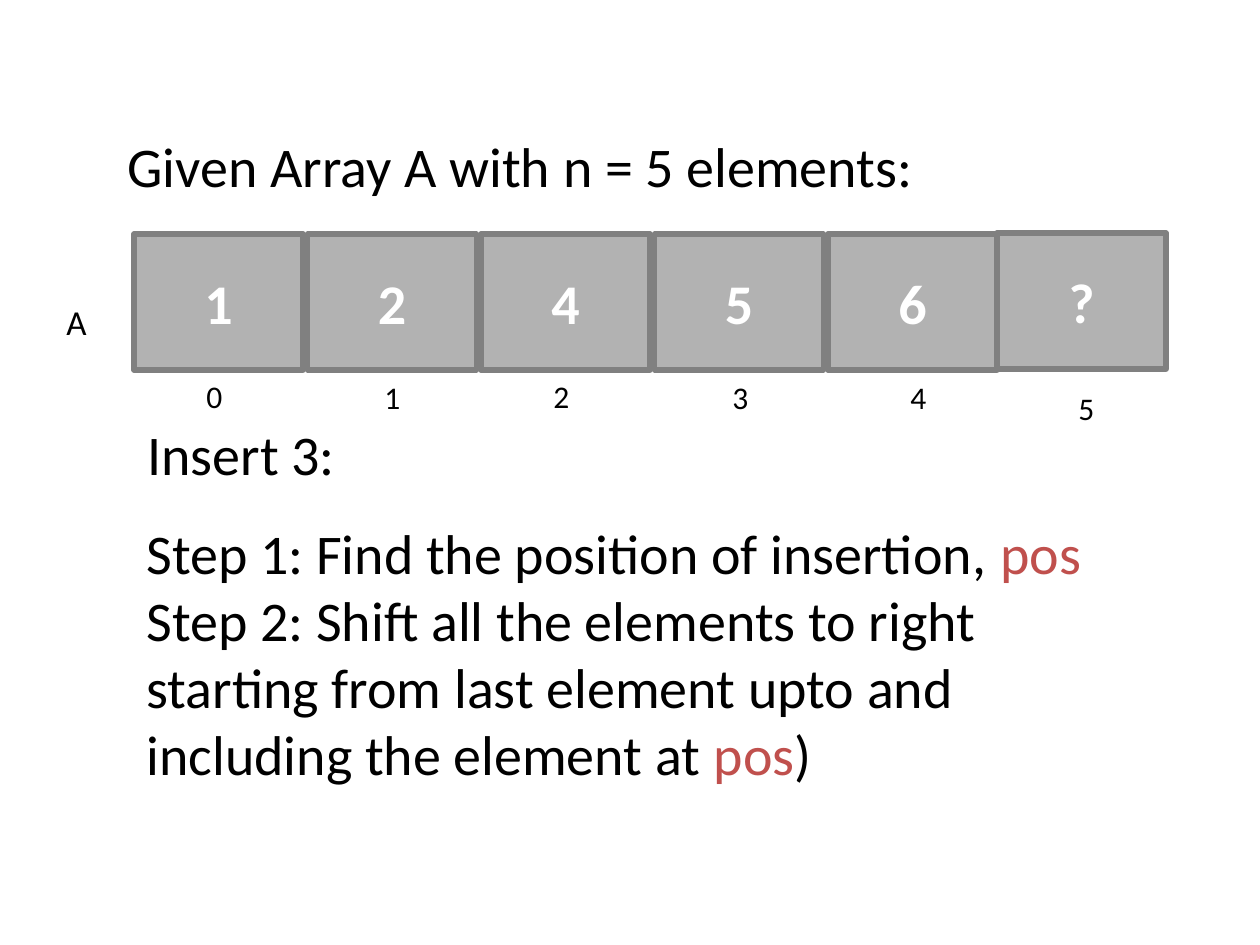
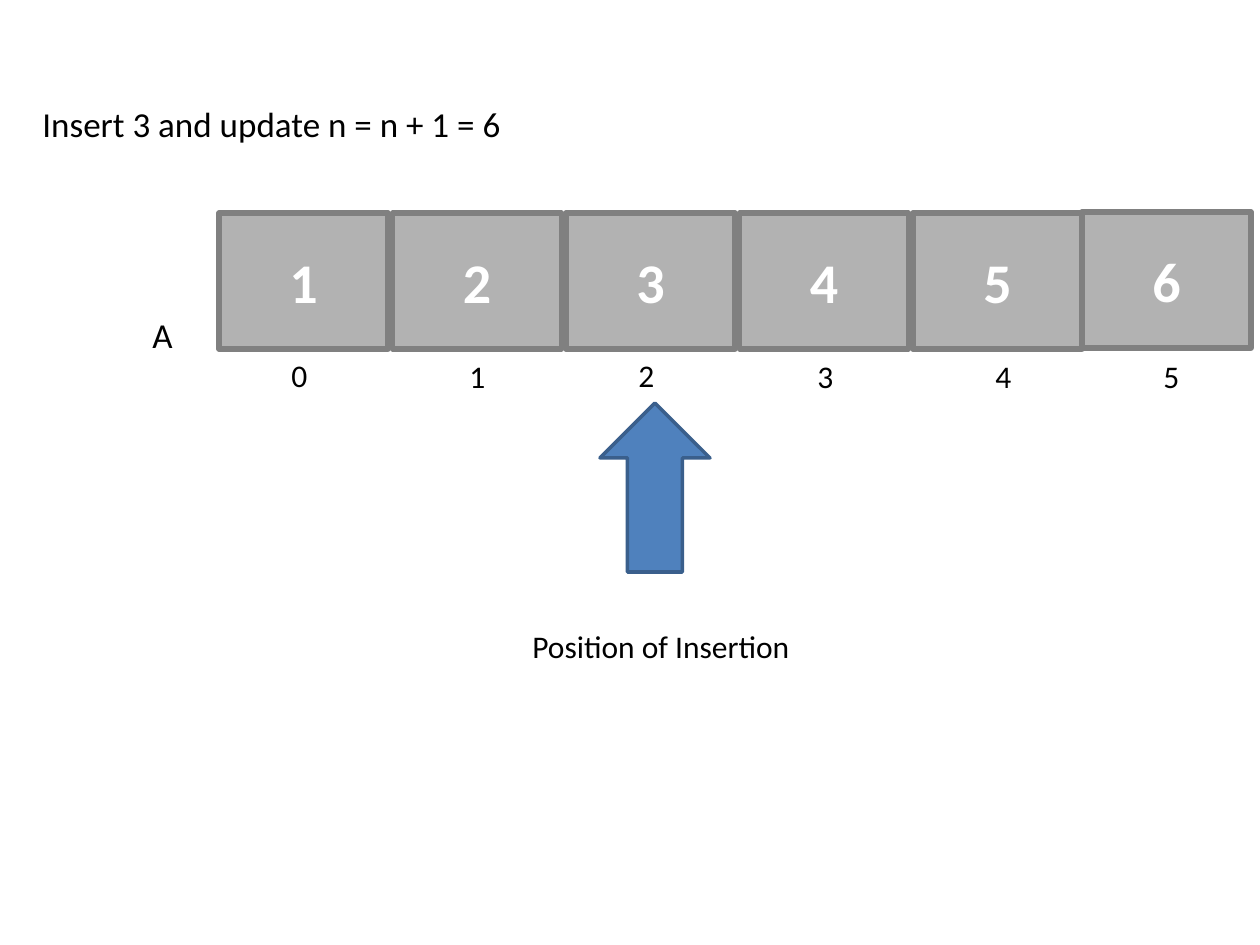
"""Build two slides that show insertion into a sorted array."""
from dataclasses import dataclass

from pptx import Presentation
from pptx.dml.color import RGBColor
from pptx.enum.shapes import MSO_SHAPE
from pptx.enum.text import MSO_ANCHOR, MSO_AUTO_SIZE, PP_ALIGN
from pptx.util import Inches, Pt


@dataclass(frozen=True)
class Theme:
    font: str = "Calibri"
    ink: str = "000000"
    accent: str = "C0504D"
    cell_fill: str = "B2B2B2"
    cell_line: str = "808080"
    cell_text: str = "FFFFFF"
    arrow_fill: str = "4F81BD"
    arrow_line: str = "3A5F8C"
    large: int = 32
    medium: int = 20
    small: int = 18


THEME = Theme()
EMU_PER_PIXEL = Inches(1) / 126

CELL_WIDTH, CELL_HEIGHT = 169, 136
FIRST_CELLS_SPAN = 694
LAST_CELL_RISE = 1
INDEX_OFFSETS = [(60, 137), (238, 138), (407, 137), (586, 138), (764, 138), (932, 138)]
INDEX_SIZE = (59, 50)
NAME_SIZE = (59, 55)

SLIDES = [
    {
        "texts": [
            ((115, 125, 903, 81), THEME.large, [[("Given Array A with n = 5 elements:", THEME.ink)]]),
            ((135, 413, 566, 81), THEME.large, [[("Insert 3:", THEME.ink)]]),
            ((134, 512, 1032, 285), THEME.large, [
                [("Step 1: Find the position of insertion, ", THEME.ink), ("pos", THEME.accent)],
                [("Step 2: Shift all the elements to right starting from last element "
                  "upto and including the element at ", THEME.ink),
                 ("pos", THEME.accent), (")", THEME.ink)],
            ]),
        ],
        "array": {"values": "12456?", "at": (134, 234), "name_at": (54, 294), "last_index_drop": 11},
        "arrow": None,
    },
    {
        "texts": [
            ((30, 96, 794, 55), THEME.medium, [[("Insert 3 and update n = n + 1 = 6", THEME.ink)]]),
            ((520, 621, 302, 50), THEME.small, [[("Position of Insertion", THEME.ink)]]),
        ],
        "array": {"values": "123456", "at": (219, 213), "name_at": (140, 307), "last_index_drop": 0},
        "arrow": (600, 403, 110, 169),
    },
]


def emu(box):
    return [round(length * EMU_PER_PIXEL) for length in box]


def add_run(paragraph, text, size, color, bold=False):
    run = paragraph.add_run()
    run.text = text
    run.font.name = THEME.font
    run.font.size = Pt(size)
    run.font.bold = bold
    run.font.color.rgb = RGBColor.from_string(color)


def add_text(slide, box, size, paragraphs):
    frame = slide.shapes.add_textbox(*emu(box)).text_frame
    frame.word_wrap = True
    frame.auto_size = MSO_AUTO_SIZE.SHAPE_TO_FIT_TEXT
    for number, runs in enumerate(paragraphs):
        paragraph = frame.add_paragraph() if number else frame.paragraphs[0]
        for text, color in runs:
            add_run(paragraph, text, size, color)


def add_figure(shapes, kind, box, fill, line, width):
    figure = shapes.add_shape(kind, *emu(box))
    figure.shadow.inherit = False
    figure.fill.solid()
    figure.fill.fore_color.rgb = RGBColor.from_string(fill)
    figure.line.color.rgb = RGBColor.from_string(line)
    figure.line.width = Pt(width)
    return figure


def add_array(slide, values, at, name_at, last_index_drop):
    left, top = at
    last = len(values) - 1
    pitch = FIRST_CELLS_SPAN / (last - 1)
    cells = slide.shapes.add_group_shape().shapes
    for index, value in enumerate(values):
        x, y = left + index * pitch, top
        if index == last:
            x, y = left + FIRST_CELLS_SPAN + CELL_WIDTH, top - LAST_CELL_RISE
        cell = add_figure(cells, MSO_SHAPE.RECTANGLE, (x, y, CELL_WIDTH, CELL_HEIGHT),
                          THEME.cell_fill, THEME.cell_line, 3)
        frame = cell.text_frame
        frame.word_wrap = False
        frame.vertical_anchor = MSO_ANCHOR.MIDDLE
        frame.paragraphs[0].alignment = PP_ALIGN.CENTER
        add_run(frame.paragraphs[0], value, THEME.large, THEME.cell_text, bold=True)
    for index, (dx, dy) in enumerate(INDEX_OFFSETS):
        drop = last_index_drop if index == last else 0
        add_text(slide, (left + dx, top + dy + drop, *INDEX_SIZE), THEME.small,
                 [[(str(index), THEME.ink)]])
    add_text(slide, (*name_at, *NAME_SIZE), THEME.medium, [[("A", THEME.ink)]])


def main():
    deck = Presentation()
    deck.slide_width, deck.slide_height = Inches(10), Inches(7.5)
    for content in SLIDES:
        slide = deck.slides.add_slide(deck.slide_layouts[6])
        for box, size, paragraphs in content["texts"]:
            add_text(slide, box, size, paragraphs)
        add_array(slide, **content["array"])
        if content["arrow"]:
            add_figure(slide.shapes, MSO_SHAPE.UP_ARROW, content["arrow"],
                       THEME.arrow_fill, THEME.arrow_line, 2)
    deck.save("out.pptx")


main()
